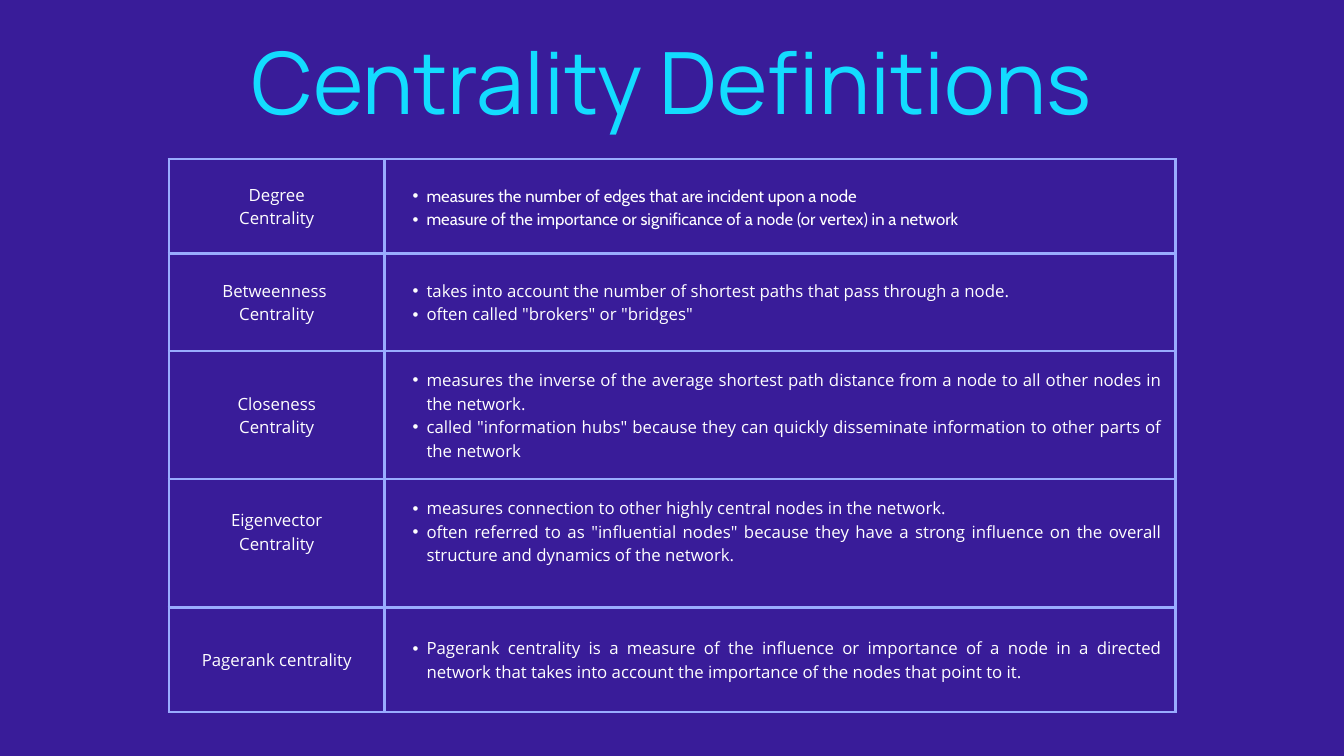
from lxml.etree import SubElement
from pptx import Presentation
from pptx.dml.color import RGBColor
from pptx.enum.text import MSO_ANCHOR, MSO_AUTO_SIZE, PP_ALIGN
from pptx.oxml import parse_xml
from pptx.oxml.ns import nsdecls, qn
from pptx.util import Pt

COLORS = {"background": "391C99", "border": "99ACFF", "text": "FFFFFF", "title": "13DCFF"}
INSET = 15
LINE = 25.2
COLUMN_WIDTHS = [231, 847.5]

# Row height, space kept free at the bottom, definition font, term lines, definitions
ROWS = [
    (101, 0, "Cabin", ["Degree", "Centrality"], [
        "measures the number of edges that are incident upon a node",
        "measure of the importance or significance of a node (or vertex) in a network"]),
    (104.5, 0, "Open Sans", ["Betweenness ", "Centrality"], [
        "takes into account the number of shortest paths that pass through a node.",
        'often called "brokers" or "bridges"']),
    (137.5, 0, "Open Sans", ["Closeness", "Centrality"], [
        "measures the inverse of the average shortest path distance from a node "
        "to all other nodes in the network.",
        'called "information hubs" because they can quickly disseminate information '
        "to other parts of the network"]),
    (137.5, LINE, "Open Sans", ["Eigenvector", "Centrality"], [
        "measures connection to other highly central nodes in the network.",
        'often referred to as "influential nodes" because they have a strong influence '
        "on the overall structure and dynamics of the network."]),
    (112, 0, "Open Sans", ["Pagerank centrality"], [
        "Pagerank centrality is a measure of the influence or importance of a node "
        "in a directed network that takes into account the importance of the nodes "
        "that point to it."]),
]


def add_run(para, text, font, size, color):
    span = para.add_run()
    span.text = text
    span.font.name = font
    span.font.size = Pt(size)
    span.font.color.rgb = RGBColor.from_string(COLORS[color])


def format_cell(cell, bottom_space):
    """Clear the fill, set the insets and draw all four borders."""
    cell.fill.background()
    cell.vertical_anchor = MSO_ANCHOR.MIDDLE
    cell.margin_left = cell.margin_right = cell.margin_top = Pt(INSET)
    cell.margin_bottom = Pt(INSET + bottom_space)
    properties = cell._tc.get_or_add_tcPr()
    for index, side in enumerate(["lnL", "lnR", "lnT", "lnB"]):
        properties.insert(index, parse_xml(
            f'<a:{side} {nsdecls("a")} w="{Pt(3)}"><a:solidFill>'
            f'<a:srgbClr val="{COLORS["border"]}"/></a:solidFill></a:{side}>'))


deck = Presentation()
deck.slide_width = Pt(1440)
deck.slide_height = Pt(810)
page = deck.slides.add_slide(deck.slide_layouts[5])
page.background.fill.solid()
page.background.fill.fore_color.rgb = RGBColor.from_string(COLORS["background"])

# Table of definitions
frame = page.shapes.add_table(len(ROWS), 2, Pt(181), Pt(170.5), Pt(sum(COLUMN_WIDTHS)),
                              Pt(sum(row[0] for row in ROWS)))
table = frame.table
table.first_row = False
table.horz_banding = False
for column, width in zip(table.columns, COLUMN_WIDTHS):
    column.width = Pt(width)

for row_index, (height, bottom_space, definition_font, term, definitions) in enumerate(ROWS):
    table.rows[row_index].height = Pt(height)
    for column_index, lines in enumerate([term, definitions]):
        cell = table.cell(row_index, column_index)
        format_cell(cell, bottom_space)
        is_definition = column_index == 1
        for line_index, line in enumerate(lines):
            box = cell.text_frame
            para = box.add_paragraph() if line_index else box.paragraphs[0]
            para.line_spacing = Pt(LINE)
            para.alignment = PP_ALIGN.JUSTIFY if is_definition else PP_ALIGN.CENTER
            if is_definition:
                para.level = 1
                properties = para._p.get_or_add_pPr()
                properties.set("marL", str(Pt(30)))
                properties.set("indent", str(Pt(-15)))
                SubElement(properties, qn("a:buFont"), typeface="Arial")
                SubElement(properties, qn("a:buChar"), char="•")
            add_run(para, line, definition_font if is_definition else "Open Sans", 18, "text")

# Title
title = page.shapes.title
title.left, title.top, title.width, title.height = Pt(90), Pt(12), Pt(1260), Pt(123)
box = title.text_frame
box.margin_left = box.margin_right = box.margin_top = box.margin_bottom = 0
box.vertical_anchor = MSO_ANCHOR.TOP
box.auto_size = MSO_AUTO_SIZE.NONE
box.word_wrap = True
para = box.paragraphs[0]
para.alignment = PP_ALIGN.CENTER
para.line_spacing = Pt(128.8)
add_run(para, "Centrality Definitions", "Manrope", 92, "title")

deck.save("out.pptx")
